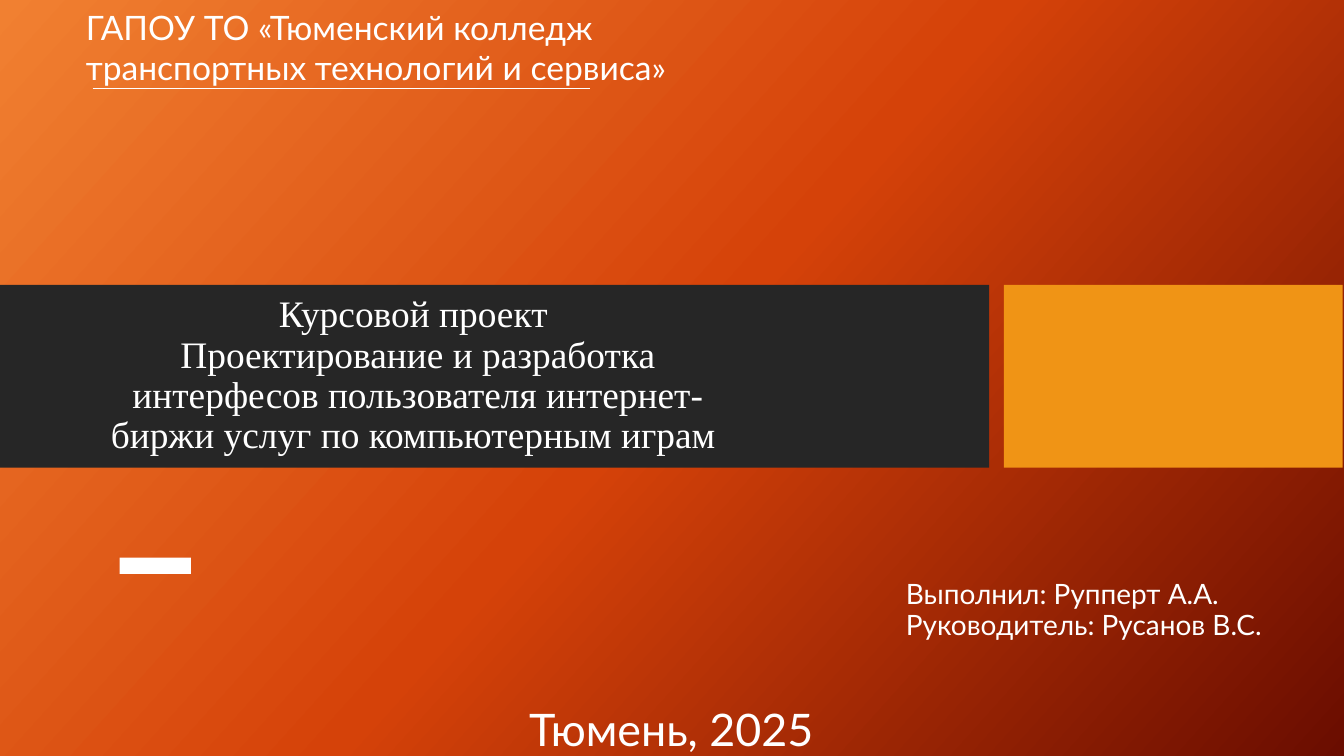
from copy import deepcopy
from lxml.etree import SubElement
from pptx import Presentation
from pptx.dml.color import RGBColor
from pptx.enum.shapes import MSO_CONNECTOR, MSO_SHAPE
from pptx.enum.text import MSO_ANCHOR, MSO_AUTO_SIZE, PP_ALIGN
from pptx.oxml.ns import qn
from pptx.util import Inches, Pt

# Content
TITLE = ("Курсовой проект \vПроектирование и разработка интерфесов "
         "пользователя интернет-биржи услуг по компьютерным играм ")
PEOPLE = "Выполнил: Рупперт А.А.\vРуководитель: Русанов В.С."
SCHOOL = "ГАПОУ ТО «Тюменский колледж транспортных технологий и сервиса»"
PLACE = "Тюмень, 2025"

# Colours, fonts and type sizes
THEME = {
    "white": "FFFFFF", "dark": "262626", "amber": "F09415",
    "back": [(0, "F18031"), (0.5, "D54209"), (1, "6A0D00")], "angle": 42,
    "serif": "Times New Roman", "sans": "Lato",
    "title": 20, "people": 15, "school": 18, "place": 24,
}

# Places: left, top, width, height
WIDE = 10
BARS = [
    ((0, 2.12, 7.36, 1.36), "dark"),
    ((7.47, 2.12, 2.52, 1.36), "amber"),
    ((0.89, 4.15, 0.53, 0.12), "white"),
]
RULE = (0.69, 0.66, 4.39, 0.66)


def color(name):
    return RGBColor.from_string(THEME[name])


def write(shape, box, text, role, font="sans", align=PP_ALIGN.LEFT,
          inset=0.1, space=0.9, before=0):
    shape.left, shape.top, shape.width, shape.height = map(Inches, box)
    frame = shape.text_frame
    frame.word_wrap = True
    frame.auto_size = MSO_AUTO_SIZE.NONE
    frame.vertical_anchor = MSO_ANCHOR.TOP
    frame.margin_left = frame.margin_right = Inches(0.1)
    frame.margin_top = frame.margin_bottom = Inches(inset)
    para = frame.paragraphs[0]
    para.text = text
    para.alignment = align
    para.line_spacing = space
    para.space_before = Pt(before)
    para.font.name = THEME[font]
    para.font.size = Pt(THEME[role])
    para.font.color.rgb = color("white")


# A 16:9 slide
deck = Presentation()
deck.slide_width, deck.slide_height = Inches(WIDE), Inches(WIDE * 9 / 16)
slide = deck.slides.add_slide(deck.slide_layouts[0])
shapes = slide.shapes
title, people = slide.placeholders

# Background gradient with a third stop
fill = slide.background.fill
fill.gradient()
fill.gradient_angle = 360 - THEME["angle"]
stops = slide.element.find(".//" + qn("a:gsLst"))
stops.append(deepcopy(stops[-1]))
for stop, (pos, tone) in zip(fill.gradient_stops, THEME["back"]):
    stop.color.rgb = RGBColor.from_string(tone)
    stop.position = pos

# Bars and dash
for box, tone in BARS:
    bar = shapes.add_shape(MSO_SHAPE.RECTANGLE, *map(Inches, box))
    bar.shadow.inherit = False
    bar.fill.solid()
    bar.fill.fore_color.rgb = color(tone)
    bar.line.fill.background()

# Title and authors, raised above the bars
write(title, (0.54, 2.1, 5.14, 1.67), TITLE, "title", "serif", PP_ALIGN.CENTER)
write(people, (6.64, 4.22, 3.44, 0.71), PEOPLE, "people")
for holder in (title, people):
    shapes.element.append(holder.element)

# Rule under the school name
rule = shapes.add_connector(MSO_CONNECTOR.STRAIGHT, *map(Inches, RULE))
rule.line.color.rgb = color("white")
rule.line.width = Pt(0.75)
SubElement(rule.element.spPr, qn("a:effectLst"))

# School name and place
school = shapes.add_textbox(0, 0, 0, 0)
write(school, (0.54, 0, 5.49, 0.57), SCHOOL, "school", inset=0.05, space=1)
place = shapes.add_textbox(0, 0, 0, 0)
write(place, (1.58, 5.22, 6.83, 0.67), PLACE, "place",
      align=PP_ALIGN.CENTER, inset=0.05, before=10)

deck.save("out.pptx")
